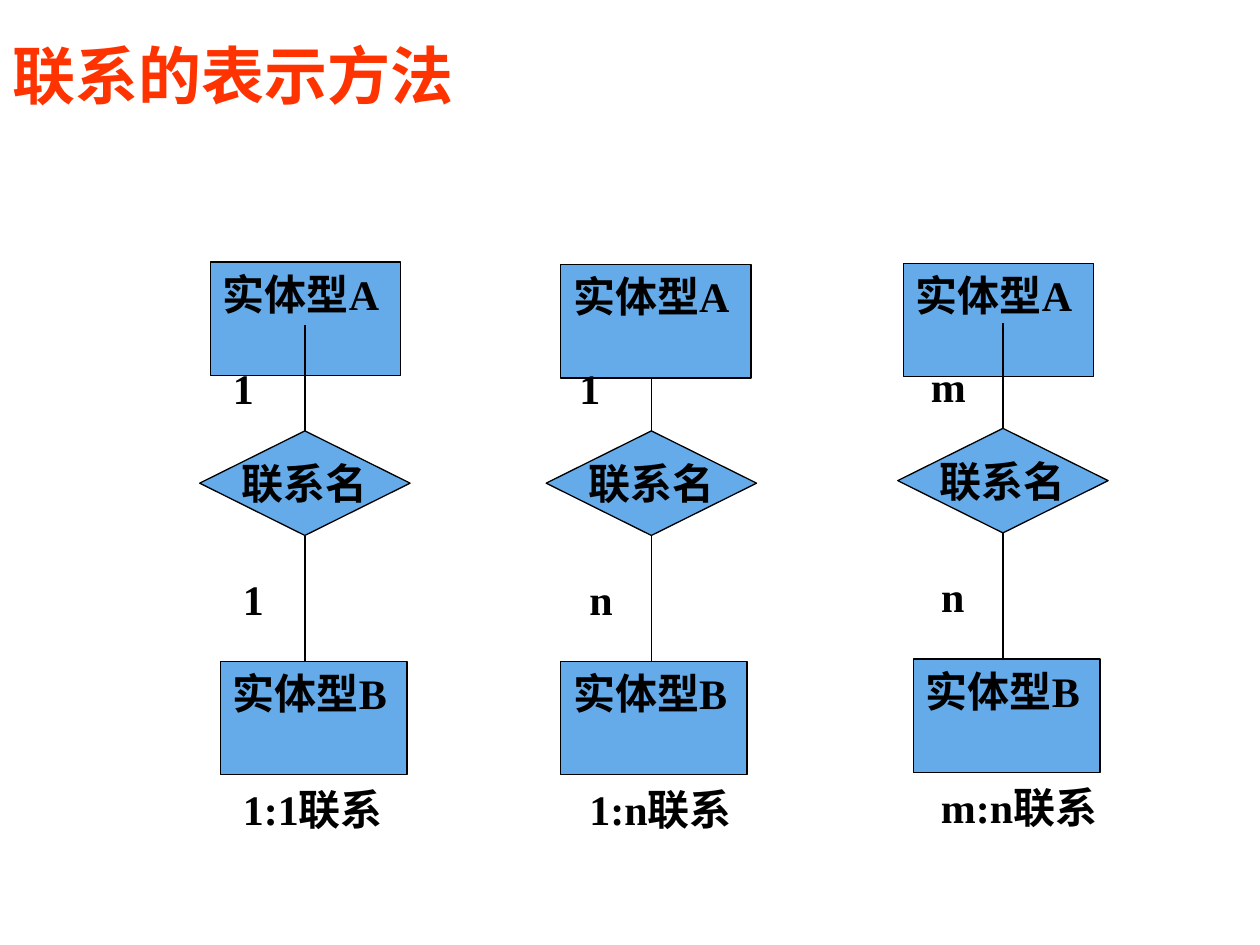
from dataclasses import dataclass

from lxml import etree
from pptx import Presentation
from pptx.dml.color import RGBColor
from pptx.enum.shapes import MSO_CONNECTOR, MSO_SHAPE
from pptx.enum.text import MSO_ANCHOR, PP_ALIGN
from pptx.oxml.ns import qn
from pptx.util import Inches, Pt

RECTANGLE, DIAMOND = MSO_SHAPE.RECTANGLE, MSO_SHAPE.DIAMOND
STRAIGHT = MSO_CONNECTOR.STRAIGHT
TOP, MIDDLE = MSO_ANCHOR.TOP, MSO_ANCHOR.MIDDLE
LEFT, CENTER = PP_ALIGN.LEFT, PP_ALIGN.CENTER

BLACK = RGBColor(0x00, 0x00, 0x00)
BLUE = RGBColor(0x65, 0xAA, 0xE9)
ORANGE_RED = RGBColor(0xFF, 0x33, 0x00)
BODY_FONT = "Times New Roman"
TITLE_FONT = "Noto Sans CJK SC"

DIAMOND_W, DIAMOND_H = 1.67, 0.83
ENTITY_H = 0.9
LINE_LENGTH_UP, LINE_LENGTH_DOWN = 0.84, 1.0


@dataclass
class Relation:
    axis: float
    diamond_top: float
    entity_a: tuple
    entity_b_left: float
    upper: str
    lower: str
    line_over_entity: bool = True


RELATIONS = [
    Relation(2.42, 3.42, (1.67, 2.08), 1.75, "1", "1"),
    Relation(5.17, 3.42, (4.45, 2.1), 4.45, "1", "n", line_over_entity=False),
    Relation(7.96, 3.4, (7.17, 2.09), 7.25, "m", "n"),
]


def write(shape, text, anchor=TOP, align=LEFT, wrap=True,
          font=BODY_FONT, size=24, color=BLACK):
    frame = shape.text_frame
    frame.text = text
    frame.word_wrap = wrap
    frame.vertical_anchor = anchor
    paragraph = frame.paragraphs[0]
    paragraph.alignment = align
    run_font = paragraph.runs[0].font
    run_font.name, run_font.size, run_font.bold = font, Pt(size), True
    run_font.color.rgb = color


def add_label(slide, text, left, top, width, height=0.5, **style):
    label = slide.shapes.add_textbox(*map(Inches, (left, top, width, height)))
    write(label, text, **style)
    return label


def add_node(slide, kind, text, left, top, width, height, **style):
    """Add a blue outlined shape that carries text."""
    node = slide.shapes.add_shape(kind, *map(Inches, (left, top, width, height)))
    node.shadow.inherit = False
    node.fill.solid()
    node.fill.fore_color.rgb = BLUE
    node.line.color.rgb = BLACK
    node.line.width = Pt(0.75)
    write(node, text, **style)
    return node


def add_link(slide, diamond, site, axis, start, end):
    """Draw a vertical line that starts at a corner of the diamond."""
    link = slide.shapes.add_connector(
        STRAIGHT, *map(Inches, (axis, start, axis, end)))
    link.begin_connect(diamond, site)
    link.line.color.rgb = BLACK
    link.line.width = Pt(0.75)
    etree.SubElement(link.line._get_or_add_ln().getparent(), qn("a:effectLst"))


def add_relation(slide, relation):
    axis, top = relation.axis, relation.diamond_top
    bottom = top + DIAMOND_H
    entity_b_top = bottom + LINE_LENGTH_DOWN
    label_left = axis - 0.59

    def add_entity_a():
        add_node(slide, RECTANGLE, "实体型A", *relation.entity_a, 1.51, ENTITY_H)

    if relation.line_over_entity:
        add_entity_a()
    diamond = add_node(slide, DIAMOND, "联系名", axis - DIAMOND_W / 2, top,
                       DIAMOND_W, DIAMOND_H,
                       anchor=MIDDLE, align=CENTER, wrap=False)
    add_link(slide, diamond, 0, axis, top, top - LINE_LENGTH_UP)
    add_link(slide, diamond, 2, axis, bottom, entity_b_top)
    if not relation.line_over_entity:
        add_entity_a()
    add_node(slide, RECTANGLE, "实体型B", relation.entity_b_left, entity_b_top,
             1.48, ENTITY_H)

    add_label(slide, relation.upper, axis - 0.67, top - 0.59, 0.42)
    add_label(slide, relation.lower, label_left, top + 1.08, 0.42)
    add_label(slide, f"{relation.upper}:{relation.lower}联系",
              label_left, top + 2.75, 1.5)


def main():
    presentation = Presentation()
    presentation.slide_width, presentation.slide_height = Inches(10), Inches(7.5)
    slide = presentation.slides.add_slide(presentation.slide_layouts[6])
    add_label(slide, "联系的表示方法", 0, 0.28, 8.08, 0.62, anchor=MIDDLE,
              font=TITLE_FONT, size=36, color=ORANGE_RED)
    for relation in RELATIONS:
        add_relation(slide, relation)
    presentation.save("out.pptx")


if __name__ == "__main__":
    main()
